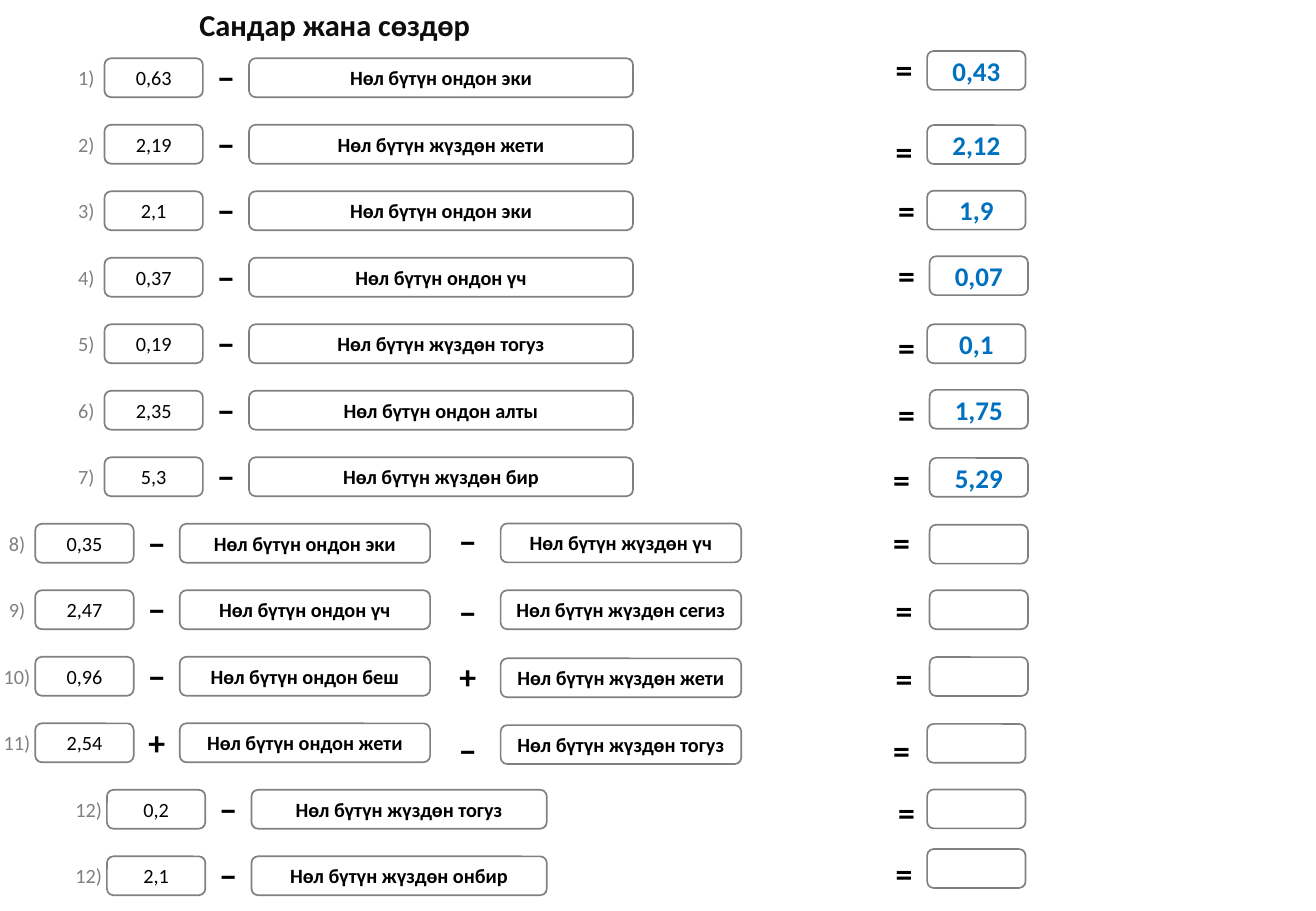
from dataclasses import dataclass
from pptx import Presentation
from pptx.dml.color import RGBColor
from pptx.enum.shapes import MSO_SHAPE
from pptx.enum.text import MSO_ANCHOR, MSO_AUTO_SIZE, PP_ALIGN
from pptx.util import Inches, Pt


@dataclass(frozen=True)
class Theme:
    face: str = "Calibri"
    head: RGBColor = RGBColor(0x0D, 0x0D, 0x0D)
    ink: RGBColor = RGBColor(0, 0, 0)
    gray: RGBColor = RGBColor(0x80, 0x80, 0x80)
    blue: RGBColor = RGBColor(0x00, 0x70, 0xC0)
    title: int = 18
    body: int = 12
    result: int = 16
    sign: int = 20


theme = Theme()


def write(shape, text, size, color, bold=True, boxed=False):
    frame = shape.text_frame
    frame.text = text
    frame.word_wrap = boxed
    frame.auto_size = MSO_AUTO_SIZE.NONE if boxed else MSO_AUTO_SIZE.SHAPE_TO_FIT_TEXT
    frame.vertical_anchor = MSO_ANCHOR.MIDDLE if boxed else MSO_ANCHOR.TOP
    if boxed:
        frame.margin_left = frame.margin_right = 0
        frame.margin_top = frame.margin_bottom = 0
    line = frame.paragraphs[0]
    line.alignment = PP_ALIGN.CENTER
    line.font.name = theme.face
    line.font.size = Pt(size)
    line.font.bold = bold
    line.font.color.rgb = color


def add_box(left, top, width, text, size=theme.body, color=theme.ink, bold=True):
    box = slide.shapes.add_shape(
        MSO_SHAPE.ROUNDED_RECTANGLE,
        Inches(left), Inches(top), Inches(width), Inches(0.32))
    box.shadow.inherit = False
    box.fill.background()
    box.line.color.rgb = theme.gray
    box.line.width = Pt(1)
    if text:
        write(box, text, size, color, bold, True)


deck = Presentation()
deck.slide_width = Inches(10.83)
deck.slide_height = Inches(7.5)
slide = deck.slides.add_slide(deck.slide_layouts[5])

title = slide.shapes.title
title.left, title.top = Inches(1.43), Inches(0)
title.width, title.height = Inches(2.65), Inches(0.4)
write(title, "Сандар жана сөздөр", theme.title, theme.head)

wide, mid, short = (0.86, 3.16), (0.29, 2.06), (0.88, 2.43)
rows = [
    (wide, "1)", "0,63", "−", "Нөл бүтүн ондон эки", 7.27, 0.35, 7.63, 0.42, "0,43"),
    (wide, "2)", "2,19", "−", "Нөл бүтүн жүздөн жети", 7.27, 1.03, 7.63, 1.03, "2,12"),
    (wide, "3)", "2,1", "−", "Нөл бүтүн ондон эки", 7.29, 1.51, 7.63, 1.57, "1,9"),
    (wide, "4)", "0,37", "−", "Нөл бүтүн ондон үч", 7.29, 2.05, 7.65, 2.11, "0,07"),
    (wide, "5)", "0,19", "−", "Нөл бүтүн жүздөн тогуз", 7.29, 2.64, 7.63, 2.67, "0,1"),
    (wide, "6)", "2,35", "−", "Нөл бүтүн ондон алты", 7.29, 3.19, 7.65, 3.21, "1,75"),
    (wide, "7)", "5,3", "−", "Нөл бүтүн жүздөн бир", 7.25, 3.73, 7.65, 3.77, "5,29"),
    (mid, "8)", "0,35", "−", "Нөл бүтүн ондон эки", 7.25, 4.25, 7.65, 4.32, ""),
    (mid, "9)", "2,47", "−", "Нөл бүтүн ондон үч", 7.27, 4.81, 7.65, 4.86, ""),
    (mid, "10)", "0,96", "−", "Нөл бүтүн ондон беш", 7.27, 5.37, 7.65, 5.41, ""),
    (mid, "11)", "2,54", "+", "Нөл бүтүн ондон жети", 7.25, 5.96, 7.63, 5.96, ""),
    (short, "12)", "0,2", "−", "Нөл бүтүн жүздөн тогуз", 7.29, 6.47, 7.63, 6.5, ""),
    (short, "12)", "2,1", "−", "Нөл бүтүн жүздөн онбир", 7.27, 6.97, 7.63, 6.99, ""),
]
extras = [
    ("−", 4.24, "Нөл бүтүн жүздөн үч", 4.31),
    ("−", 4.82, "Нөл бүтүн жүздөн сегиз", 4.86),
    ("+", 5.35, "Нөл бүтүн жүздөн жети", 5.42),
    ("−", 5.96, "Нөл бүтүн жүздөн тогуз", 5.97),
]

signs, labels = [], []
for i, row in enumerate(rows):
    (left, width), label, value, sign, words, eq_x, eq_y, end_x, end_y, answer = row
    top = 0.48 + 6.57 * i / 12
    add_box(left, top, 0.81, value, bold=False)
    add_box(left + 1.19, top, width, words)
    add_box(end_x, end_y, 0.81, answer, theme.result, theme.blue)
    signs += [(left + 0.83, top - 0.06, sign), (eq_x, eq_y, "=")]
    labels.append((left - 0.15, top + 0.01, label))

for sign, sign_y, words, top in extras:
    add_box(4.12, top, 1.98, words)
    signs.append((3.68, sign_y, sign))

for left, top, sign in signs:
    mark = slide.shapes.add_textbox(Inches(left), Inches(top), Inches(0.34), Inches(0.44))
    write(mark, sign, theme.sign, theme.ink)

for center, top, label in labels:
    width = 0.34 if len(label) == 2 else 0.42
    tag = slide.shapes.add_textbox(
        Inches(center - width / 2), Inches(top), Inches(width), Inches(0.3))
    write(tag, label, theme.body, theme.gray, False)

deck.save("out.pptx")
